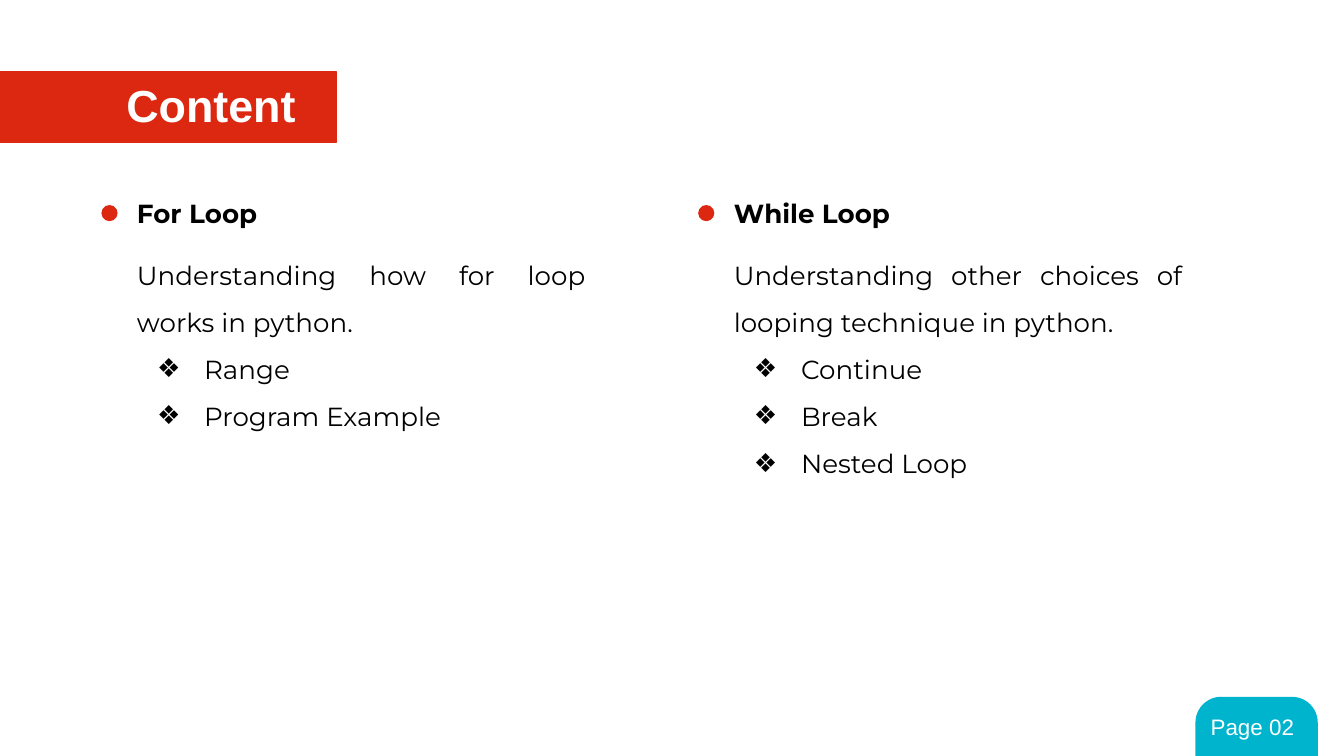
from lxml.etree import SubElement
from pptx import Presentation
from pptx.dml.color import RGBColor
from pptx.enum.shapes import MSO_SHAPE
from pptx.enum.text import MSO_ANCHOR, MSO_AUTO_SIZE, PP_ALIGN
from pptx.oxml.ns import qn
from pptx.util import Pt

COLOURS = {"red": "DC2811", "teal": "00B4CE", "white": "FFFFFF", "black": "000000"}
INSET = 7.2
COLUMN_LEFTS = (66.2, 385.9)
COLUMNS = (
    ("For Loop", "Understanding how for loop works in python.",
     ("Range", "Program Example")),
    ("While Loop", "Understanding other choices of looping technique in python.",
     ("Continue", "Break", "Nested Loop")),
)


def colour(name):
    return RGBColor.from_string(COLOURS[name])


def place(shape, left, top, width, height):
    shape.left, shape.top = Pt(left), Pt(top)
    shape.width, shape.height = Pt(width), Pt(height)


def add_block(page, kind, left, top, width, height, fill):
    """Add a plain preset shape with a line in its fill colour."""
    block = page.shapes.add_shape(kind, Pt(left), Pt(top), Pt(width), Pt(height))
    block.shadow.inherit = False
    block.fill.solid()
    block.fill.fore_color.rgb = colour(fill)
    block.line.color.rgb = colour(fill)
    block.line.width = Pt(0.75)
    return block


def prepare_frame(box, wrap=True):
    frame = box.text_frame
    frame.auto_size = MSO_AUTO_SIZE.NONE
    frame.word_wrap = wrap
    frame.vertical_anchor = MSO_ANCHOR.TOP
    frame.margin_left = frame.margin_right = Pt(INSET)
    frame.margin_top = frame.margin_bottom = Pt(INSET)
    return frame


def write(para, text, size, font, text_colour, bold=False,
          align=PP_ALIGN.LEFT, spacing=1.0):
    para.alignment = align
    para.line_spacing = spacing
    para.space_before = para.space_after = Pt(0)
    span = para.add_run()
    span.text = text
    span.font.size = Pt(size)
    span.font.name = font
    span.font.bold = bold
    span.font.color.rgb = colour(text_colour)


def set_bullet(para, symbol=None):
    """Give the paragraph a hanging bullet, or none at all."""
    props = para._p.get_or_add_pPr()
    props.set("marL", str(Pt(36) if symbol else 0))
    props.set("indent", str(Pt(-25.2) if symbol else 0))
    if symbol is None:
        SubElement(props, qn("a:buNone"))
        return
    bullet_colour = SubElement(props, qn("a:buClr"))
    SubElement(bullet_colour, qn("a:srgbClr"), val=COLOURS["black"])
    SubElement(props, qn("a:buFont"), typeface="Montserrat")
    SubElement(props, qn("a:buChar"), char=symbol)


def fill_heading(box, left, text):
    place(box, left, 98.6, 110, 31.7)
    para = prepare_frame(box, wrap=False).paragraphs[0]
    write(para, text, 14, "Montserrat", "black", bold=True)
    set_bullet(para)


def fill_topics(box, left, intro, topics):
    place(box, left, 123.1, 254.9, 57.6 + 25.2 * len(topics))
    frame = prepare_frame(box)
    for number, text in enumerate((intro, *topics)):
        para = frame.add_paragraph() if number else frame.paragraphs[0]
        write(para, text, 14, "Montserrat", "black",
              align=PP_ALIGN.JUSTIFY, spacing=1.5)
        set_bullet(para, "❖" if number else None)


def main():
    deck = Presentation()
    deck.slide_width, deck.slide_height = Pt(720), Pt(405)
    # The Comparison layout has a title and two heading and body pairs
    page = deck.slides.add_slide(deck.slide_layouts[4])
    holders = page.placeholders

    # Title on its red band
    band = add_block(page, MSO_SHAPE.RECTANGLE, -2.2, 38.2, 182.2, 38.2, "red")
    title = page.shapes.title
    title._element.addprevious(band._element)
    place(title, 60.5, 34.6, 122.4, 43.9)
    write(prepare_frame(title).paragraphs[0], "Content", 24, "Arial", "white", bold=True)

    # Two columns: dot, heading and topics
    for number, (left, column) in enumerate(zip(COLUMN_LEFTS, COLUMNS)):
        heading, intro, topics = column
        add_block(page, MSO_SHAPE.OVAL, left - 11.5, 110.2, 7.9, 7.9, "red")
        fill_heading(holders[1 + 2 * number], left, heading)
        fill_topics(holders[2 + 2 * number], left, intro, topics)

    # Page tab
    tab = add_block(page, MSO_SHAPE.ROUND_2_SAME_RECTANGLE, 640.8, 373.7, 64.8, 31.3, "teal")
    tab.adjustments[0] = 0.43
    label = page.shapes.add_textbox(Pt(641.5), Pt(375.1), Pt(76.3), Pt(28.8))
    write(prepare_frame(label).paragraphs[0], "Page 02", 12, "Arial", "white")

    deck.save("out.pptx")


if __name__ == "__main__":
    main()
